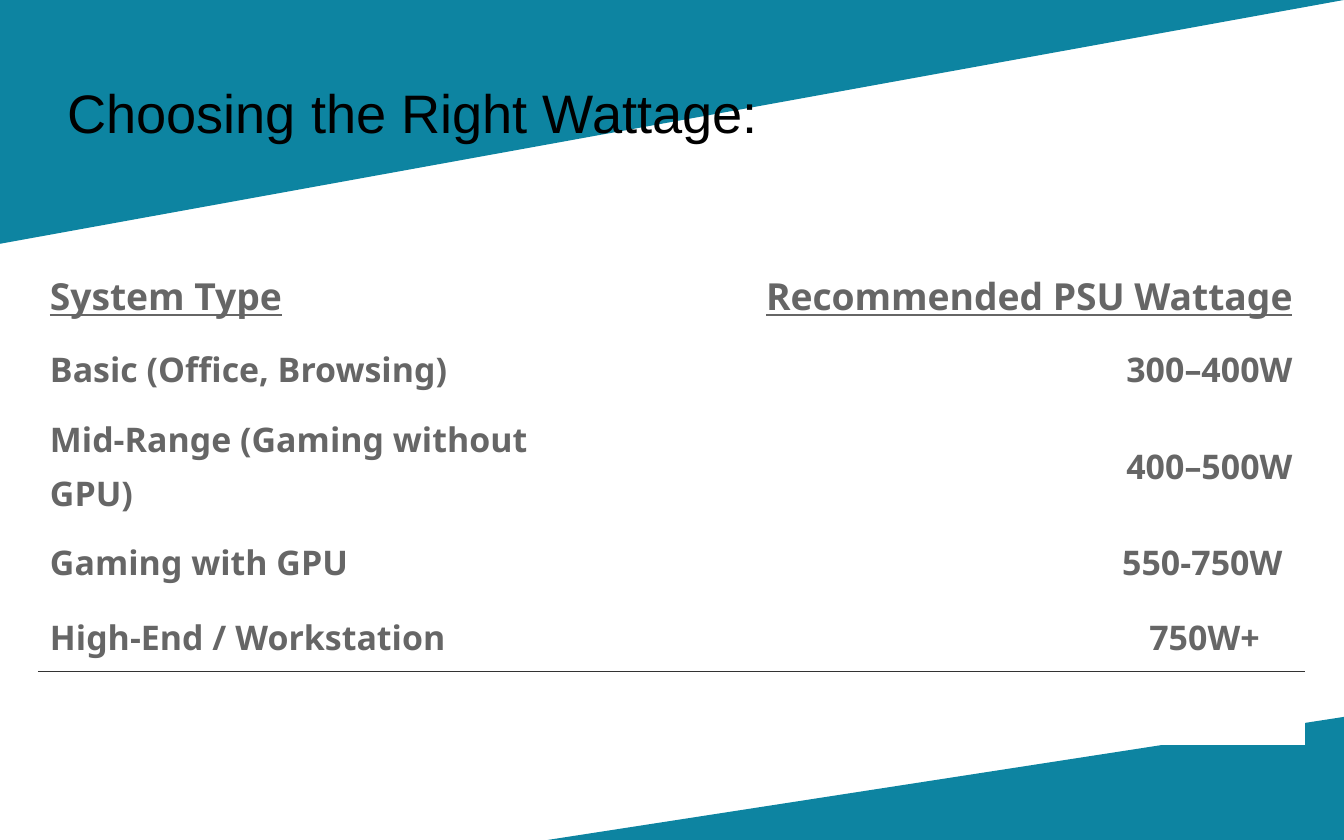
from lxml import etree
from pptx import Presentation
from pptx.dml.color import RGBColor as RGB
from pptx.enum.text import MSO_ANCHOR as ANCHOR, MSO_AUTO_SIZE as AUTO, PP_ALIGN as ALIGN
from pptx.oxml.ns import qn
from pptx.util import Pt

COLORS = {"teal": "0D84A1", "white": "FFFFFF", "gray": "666666",
          "rule": "333333", "black": "000000"}
NO_STYLE = "{2D5ABB26-0587-4C30-8999-92F81FD0307C}"
W, H = 793.44, 496.08

# System type, wattage, tab stop (None puts the wattage in its own cell)
ROWS = [
    ("System Type", "Recommended PSU Wattage", None),
    ("Basic (Office, Browsing)", "300–400W", None),
    ("Mid-Range (Gaming without GPU)", "400–500W", None),
    ("Gaming with GPU", "550-750W", 633),
    ("High-End / Workstation", "750W+", 649),
]
COL_WIDTHS = [323.2] + [141.6] * 3
ROW_HEIGHTS = [43.9, 43.9, 69.8, 43.9, 43.9, 43.9]


def write(tf, text, size=20, font="Noto Sans", color="gray", bold=False,
          underline=False, align=ALIGN.LEFT, spacing=None, tab=None):
    p = tf.paragraphs[0]
    p.alignment = align
    p.space_before, p.space_after = Pt(11.9), Pt(9.9)
    if spacing:
        p.line_spacing = spacing
    if tab:
        tabs = etree.SubElement(p._p.get_or_add_pPr(), qn("a:tabLst"))
        etree.SubElement(tabs, qn("a:tab"), pos=str(Pt(tab)), algn="l")
    r = p.add_run()
    r.text = text
    f = r.font
    f.name, f.size, f.bold, f.underline = font, Pt(size), bold, underline
    f.color.rgb = RGB.from_string(COLORS[color])


def add_border(cell, side):
    ln = etree.Element(qn(f"a:ln{side}"), w=str(Pt(0.06)))
    fill = etree.SubElement(ln, qn("a:solidFill"))
    etree.SubElement(fill, qn("a:srgbClr"), val=COLORS["rule"])
    cell._tc.get_or_add_tcPr().insert(0, ln)


class Deck:
    def __init__(self):
        self.prs = Presentation()
        self.prs.slide_width, self.prs.slide_height = Pt(W), Pt(H)
        self.s = self.prs.slides.add_slide(self.prs.slide_layouts[5])

    def triangle(self, *points):
        corners = [(Pt(x), Pt(y)) for x, y in points]
        fb = self.s.shapes.build_freeform(*corners[0])
        fb.add_line_segments(corners[1:], close=True)
        sp = fb.convert_to_shape()
        sp.shadow.inherit = False
        sp.fill.solid()
        sp.fill.fore_color.rgb = RGB.from_string(COLORS["teal"])
        sp.line.fill.background()

    def table(self, x, y):
        frame = self.s.shapes.add_table(
            len(ROW_HEIGHTS), len(COL_WIDTHS), Pt(x), Pt(y),
            Pt(sum(COL_WIDTHS)), Pt(sum(ROW_HEIGHTS)))
        table = frame.table
        table.first_row = table.horz_banding = False
        table._tbl.tblPr.find(qn("a:tableStyleId")).text = NO_STYLE
        for col, width in zip(table.columns, COL_WIDTHS):
            col.width = Pt(width)
        for row, height in zip(table.rows, ROW_HEIGHTS):
            row.height = Pt(height)
        for cell in table.iter_cells():
            cell.fill.solid()
            cell.fill.fore_color.rgb = RGB.from_string(COLORS["white"])
            cell.vertical_anchor = ANCHOR.MIDDLE
        last = len(ROWS)
        for c in range(len(COL_WIDTHS)):
            add_border(table.cell(last - 1, c), "B")
            add_border(table.cell(last, c), "T")
        for i, (system, wattage, tab) in enumerate(ROWS):
            style = dict(size=20 if i else 22, bold=True, underline=i == 0, spacing=1.15)
            first, second, end = (table.cell(i, c) for c in (0, 1, 3))
            if tab:
                first.merge(end)
                write(first.text_frame, f"{system}\t{wattage}", tab=tab, **style)
            else:
                second.merge(end)
                write(first.text_frame, system, **style)
                write(second.text_frame, wattage, align=ALIGN.RIGHT, **style)

    def title(self, text, x, y, w, h):
        """Fill the title placeholder and bring it to the front."""
        sp = self.s.shapes.title
        sp.left, sp.top, sp.width, sp.height = Pt(x), Pt(y), Pt(w), Pt(h)
        tf = sp.text_frame
        tf.margin_left = tf.margin_right = tf.margin_top = tf.margin_bottom = 0
        tf.word_wrap, tf.auto_size = True, AUTO.NONE
        tf.vertical_anchor = ANCHOR.MIDDLE
        write(tf, text, size=32, font="Arial", color="black")
        self.s.shapes.element.append(sp.element)


def main():
    deck = Deck()
    deck.triangle((0, 144), (0, 0), (W, 0))
    deck.triangle((323.3, H), (W, H), (W, 423.4))
    deck.table(22.3, 150.5)
    deck.title("Choosing the Right Wattage:", 39.6, 18.7, 714.2, 94.3)
    deck.prs.save("out.pptx")


if __name__ == "__main__":
    main()
